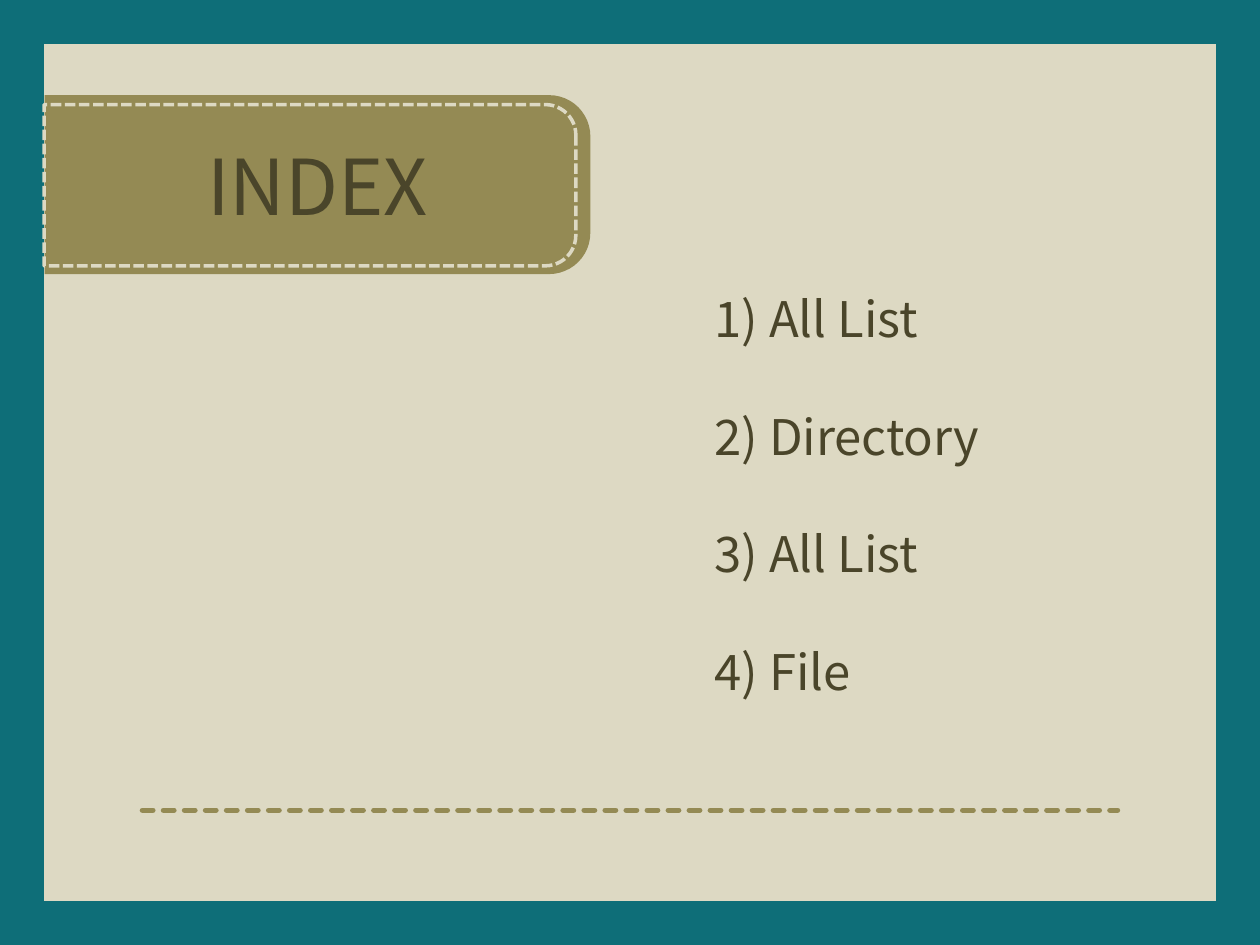
from dataclasses import dataclass

from lxml import etree
from pptx import Presentation
from pptx.dml.color import RGBColor
from pptx.enum.dml import MSO_LINE
from pptx.enum.shapes import MSO_CONNECTOR, MSO_SHAPE
from pptx.enum.text import MSO_ANCHOR, MSO_AUTO_SIZE, PP_ALIGN
from pptx.oxml.ns import qn
from pptx.util import Inches, Pt

RECTANGLE = MSO_SHAPE.RECTANGLE
TAB = MSO_SHAPE.ROUND_2_SAME_RECTANGLE
STRAIGHT = MSO_CONNECTOR.STRAIGHT
SYSTEM_DASH = MSO_LINE.SQUARE_DOT
TOP = MSO_ANCHOR.TOP
FIT_SHAPE = MSO_AUTO_SIZE.SHAPE_TO_FIT_TEXT
LEFT, CENTER = PP_ALIGN.LEFT, PP_ALIGN.CENTER


@dataclass(frozen=True)
class Theme:
    """Colours, font and type sizes of the deck."""
    paper: RGBColor = RGBColor.from_string("DDD9C3")
    frame: RGBColor = RGBColor.from_string("0E6E78")
    olive: RGBColor = RGBColor.from_string("948A54")
    ink: RGBColor = RGBColor.from_string("4A452A")
    font: str = "Noto Sans CJK KR"
    title_size: Pt = Pt(44)
    list_size: Pt = Pt(28)
    list_gap: Pt = Pt(33.6)


class SlideBuilder:
    """Draws styled elements on the current slide."""

    def __init__(self, slide, theme):
        self.slide = slide
        self.theme = theme

    def background(self):
        fill = self.slide.background.fill
        fill.solid()
        fill.fore_color.rgb = self.theme.paper

    def stroke(self, line, color, width, dash=None):
        line.color.rgb = color
        line.width = Pt(width)
        if dash is not None:
            line.dash_style = dash

    def shape(self, shapes, kind, position, fill=None, stroke=None, rotation=0, adjust=()):
        shape = shapes.add_shape(kind, *map(Inches, position))
        shape.shadow.inherit = False
        shape.rotation = rotation
        for index, value in enumerate(adjust):
            shape.adjustments[index] = value
        if fill is None:
            shape.fill.background()
        else:
            shape.fill.solid()
            shape.fill.fore_color.rgb = fill
        if stroke is None:
            shape.line.fill.background()
        else:
            self.stroke(shape.line, *stroke)

    def frame(self, position, width):
        self.shape(self.slide.shapes, RECTANGLE, position, stroke=(self.theme.frame, width))

    def tab(self, plate, stitching):
        shapes = self.slide.shapes.add_group_shape().shapes
        self.shape(shapes, TAB, plate, fill=self.theme.olive, rotation=90, adjust=(0.23, 0))
        self.shape(shapes, TAB, stitching, stroke=(self.theme.paper, 2, SYSTEM_DASH),
                   rotation=90, adjust=(0.19, 0))

    def divider(self, left, right, height):
        line = self.slide.shapes.add_connector(
            STRAIGHT, *map(Inches, (left, height, right, height)))
        self.stroke(line.line, self.theme.olive, 3, SYSTEM_DASH)
        properties = line.element.spPr
        properties.get_or_add_ln().set("cap", "rnd")
        etree.SubElement(properties, qn("a:effectLst"))

    def placeholder(self, box, position, lines, size, wrap, paragraph_format):
        self.slide.shapes.element.append(box.element)
        for name, value in zip(("left", "top", "width", "height"), position):
            setattr(box, name, Inches(value))
        frame = box.text_frame
        frame.text = "\n".join(lines)
        frame_format = {"word_wrap": wrap, "auto_size": FIT_SHAPE, "vertical_anchor": TOP}
        for name, value in frame_format.items():
            setattr(frame, name, value)
        font_format = {"name": self.theme.font, "size": size}
        for para in frame.paragraphs:
            for name, value in paragraph_format.items():
                setattr(para, name, value)
            for span in para.runs:
                for name, value in font_format.items():
                    setattr(span.font, name, value)
                span.font.color.rgb = self.theme.ink
        return frame

    def title(self, text, position):
        self.placeholder(self.slide.shapes.title, position, [text], self.theme.title_size,
                         False, {"alignment": CENTER})

    def contents(self, entries, position):
        lines = [f"{number}) {entry}" for number, entry in enumerate(entries, 1)]
        paragraph_format = {"alignment": LEFT, "space_before": Pt(0),
                            "space_after": self.theme.list_gap}
        frame = self.placeholder(self.slide.placeholders[1], position, lines,
                                 self.theme.list_size, True, paragraph_format)
        for para in frame.paragraphs:
            properties = para._p.get_or_add_pPr()
            properties.set("marL", "0")
            properties.set("indent", "0")
            etree.SubElement(properties, qn("a:buNone"))
        frame.paragraphs[-1].space_after = Pt(0)


def main():
    deck = Presentation()
    deck.slide_width, deck.slide_height = Inches(10), Inches(7.5)
    page = SlideBuilder(deck.slides.add_slide(deck.slide_layouts[1]), Theme())
    page.background()
    page.frame((0, 0, 10, 7.5), 50)
    page.tab(plate=(1.81, -0.7, 1.42, 4.33), stitching=(1.82, -0.64, 1.28, 4.22))
    page.title("INDEX", (1.32, 1.05, 2.4, 0.84))
    page.divider(1.13, 8.87, 6.43)
    page.contents(["All List", "Directory", "All List", "File"], (5.57, 2.24, 3.76, 3.4))
    deck.save("out.pptx")


if __name__ == "__main__":
    main()
